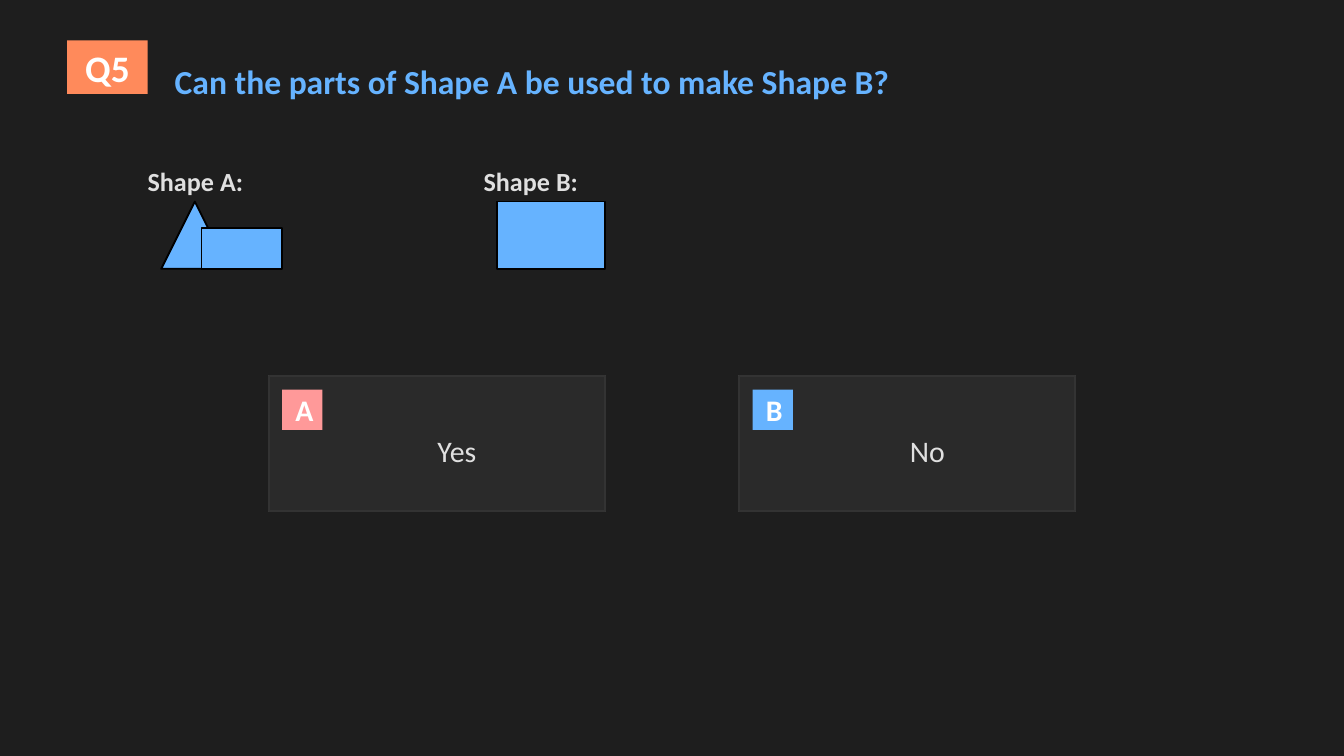
from pptx import Presentation
from pptx import util as u
from pptx.dml.color import RGBColor
from pptx.enum import shapes, text

FONT = "Calibri"
BLUE, WHITE, PALE = "66B3FF", "FFFFFF", "E0E0E0"
RECT = shapes.MSO_SHAPE.RECTANGLE
TRIANGLE = shapes.MSO_SHAPE.ISOSCELES_TRIANGLE
LEFT, CENTER = text.PP_ALIGN.LEFT, text.PP_ALIGN.CENTER


def px(length):
    """80 px to the inch."""
    return u.Emu(length * 11430)


def color(code):
    return RGBColor.from_string(code)


def write(box, words, size, code, bold=True, align=LEFT):
    frame = box.text_frame
    frame.word_wrap = True
    frame.auto_size = text.MSO_AUTO_SIZE.NONE
    frame.vertical_anchor = text.MSO_ANCHOR.MIDDLE
    para = frame.paragraphs[0]
    para.alignment = align
    span = para.add_run()
    span.text = words
    span.font.name = FONT
    span.font.size = u.Pt(size)
    span.font.bold = bold
    span.font.color.rgb = color(code)


def add_label(page, place, words, size, **style):
    box = page.shapes.add_textbox(*map(px, place))
    write(box, words, size, PALE, **style)


def add_figure(page, place, fill=None, line=None, kind=RECT):
    figure = page.shapes.add_shape(kind, *map(px, place))
    figure.shadow.inherit = False
    if fill:
        figure.fill.solid()
        figure.fill.fore_color.rgb = color(fill)
    else:
        figure.fill.background()
    if line:
        figure.line.color.rgb = color(line)
        figure.line.width = u.Pt(1)
    else:
        figure.line.fill.background()
    return figure


def add_badge(page, place, words, size, fill):
    badge = add_figure(page, place, fill)
    write(badge, words, size, WHITE, align=CENTER)


def add_title(page, place, words):
    title = page.shapes.title
    title.left, title.top, title.width, title.height = map(px, place)
    write(title, words, 18, BLUE)


def add_answer(page, left, top, letter, words, fill):
    add_figure(page, (left, top, 200, 80), "2A2A2A", "555555")
    add_badge(page, (left + 8, top + 8, 24, 24), letter, 16, fill)
    add_label(page, (left + 40, top + 28, 144, 32), words, 16,
              bold=False, align=CENTER)


def main():
    deck = Presentation()
    deck.slide_width, deck.slide_height = px(800), px(450)
    page = deck.slides.add_slide(deck.slide_layouts[5])
    page.background.fill.solid()
    page.background.fill.fore_color.rgb = color("1E1E1E")

    # Question
    add_badge(page, (40, 24, 48, 32), "Q5", 20, "FF8A5B")
    add_title(page, (96, 28, 640, 40),
              "Can the parts of Shape A be used to make Shape B?")

    # Shapes to compare
    for left, words in ((80, "Shape A:"), (280, "Shape B:")):
        add_label(page, (left, 96, 120, 24), words, 14)
    for place, kind in (((96, 120, 40, 40), TRIANGLE),
                        ((120, 136, 48, 24), RECT),
                        ((296, 120, 64, 40), RECT)):
        add_figure(page, place, BLUE, "000000", kind)

    # Answers, then the frames over them
    answers = ((160, "A", "Yes", "FF9999"), (440, "B", "No", BLUE))
    for left, letter, words, fill in answers:
        add_answer(page, left, 224, letter, words, fill)
    for left, *_ in answers:
        add_figure(page, (left, 224, 200, 80), line="333333")

    deck.save("out.pptx")


if __name__ == "__main__":
    main()
